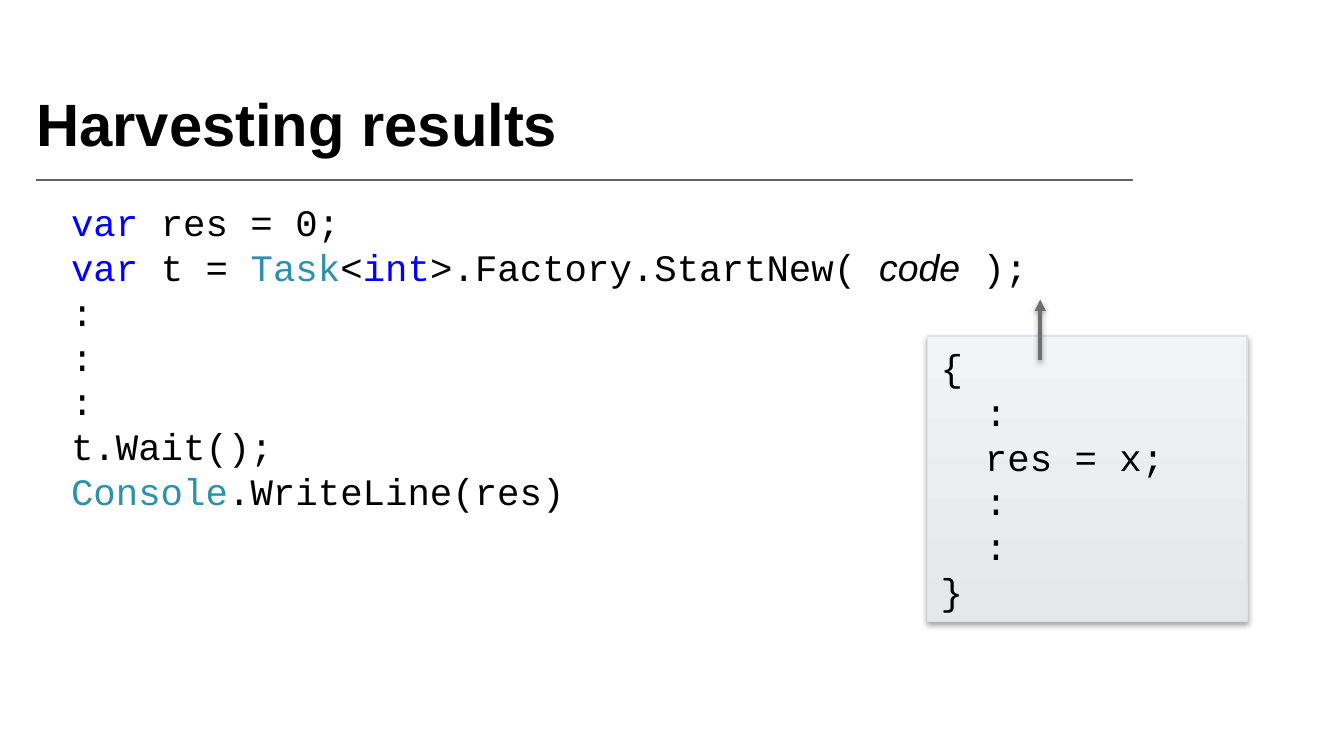
import pptx
import pptx.dml.color
import pptx.enum.shapes
import pptx.enum.text
import pptx.oxml
import pptx.oxml.ns
import pptx.util
from pptx.util import Inches

COLORS = {
    "black": "000000", "white": "FFFFFF", "keyword": "0000FF",
    "type": "2B91AF", "rule": "616263", "arrow": "6D6E71",
    "panel_bottom": "E6E7E8", "panel_top": "F2F3F5", "panel_edge": "E1E2E3",
}
TITLE = {"name": "Arial", "size": pptx.util.Pt(32), "bold": True}
CODE = {"name": "Courier New", "size": pptx.util.Pt(20)}
PLACEHOLDER = CODE | {"name": "Arial", "italic": True}
CODE_INDENT = Inches(0.33)
SLIDE_WIDTH = Inches(10)

# Each line is an indent level and its (text, colour, format) parts
PROGRAM = [
    (0, [("var ", "keyword", CODE), ("res = 0;", "black", CODE)]),
    (0, [("var", "keyword", CODE), (" t = ", "black", CODE),
         ("Task", "type", CODE), ("<", "black", CODE),
         ("int", "keyword", CODE), (">.Factory.StartNew( ", "black", CODE),
         ("code", "black", PLACEHOLDER), (" );", "black", CODE)]),
    *[(0, [(":", "black", CODE)])] * 3,
    (0, [("t.Wait();", "black", CODE)]),
    (0, [("Console", "type", CODE), (".WriteLine(res)", "black", CODE)]),
]
TASK_BODY = [
    (level, [(text, "black", CODE)])
    for level, text in [(0, "{"), (1, ":"), (1, "res = x;"),
                        (1, ":"), (1, ":"), (0, "}")]
]


def rgb(color):
    return pptx.dml.color.RGBColor.from_string(COLORS[color])


def apply(target, values):
    for attribute, value in values.items():
        setattr(target, attribute, value)


def add_run(paragraph, text, color, style):
    run = paragraph.add_run()
    run.text = text
    apply(run.font, style)
    run.font.color.rgb = rgb(color)


def add_title(slide, text, box):
    frame = slide.shapes.add_textbox(*map(Inches, box)).text_frame
    apply(frame, {
        "word_wrap": True,
        "vertical_anchor": pptx.enum.text.MSO_ANCHOR.MIDDLE,
        "margin_left": 0, "margin_right": 0,
        "margin_top": 0, "margin_bottom": Inches(0.09),
    })
    add_run(frame.paragraphs[0], text, "black", TITLE)


def add_code(slide, lines, box):
    panel = slide.shapes.add_shape(
        pptx.enum.shapes.MSO_SHAPE.RECTANGLE, *map(Inches, box))
    panel.shadow.inherit = False
    panel.fill.solid()
    panel.fill.fore_color.rgb = rgb("white")
    panel.line.fill.background()
    frame = panel.text_frame
    apply(frame, {
        "word_wrap": True,
        "auto_size": pptx.enum.text.MSO_AUTO_SIZE.SHAPE_TO_FIT_TEXT,
        "vertical_anchor": pptx.enum.text.MSO_ANCHOR.MIDDLE,
    })
    for number, (level, parts) in enumerate(lines):
        paragraph = frame.add_paragraph() if number else frame.paragraphs[0]
        paragraph.alignment = pptx.enum.text.PP_ALIGN.LEFT
        if level:
            properties = paragraph._p.get_or_add_pPr()
            properties.set("marL", str(level * CODE_INDENT))
        for part in parts:
            add_run(paragraph, *part)
    return panel


def shade_panel(panel):
    panel.fill.gradient()
    panel.fill.gradient_angle = 90
    for stop, color in zip(panel.fill.gradient_stops,
                           ["panel_bottom", "panel_top"]):
        stop.color.rgb = rgb(color)
    panel.line.color.rgb = rgb("panel_edge")
    panel.line.width = pptx.util.Pt(0.75)


def set_effects(shape, shadow=""):
    properties = shape._element.spPr
    for old in properties.findall(pptx.oxml.ns.qn("a:effectLst")):
        properties.remove(old)
    properties.append(pptx.oxml.parse_xml(
        f'<a:effectLst {pptx.oxml.ns.nsdecls("a")}>{shadow}</a:effectLst>'))


def drop_shadow(distance, opacity):
    return (
        f'<a:outerShdw blurRad="{pptx.util.Pt(3.1)}" '
        f'dist="{pptx.util.Pt(distance)}" dir="5400000" rotWithShape="0">'
        f'<a:srgbClr val="{COLORS["black"]}">'
        f'<a:alpha val="{opacity * 1000}"/></a:srgbClr></a:outerShdw>')


def add_line(slide, ends, color, width):
    line = slide.shapes.add_connector(
        pptx.enum.shapes.MSO_CONNECTOR.STRAIGHT, *map(Inches, ends))
    line.line.color.rgb = rgb(color)
    line.line.width = pptx.util.Pt(width)
    set_effects(line)
    return line


def add_arrowhead(line):
    line.line._get_or_add_ln().append(pptx.oxml.parse_xml(
        f'<a:tailEnd {pptx.oxml.ns.nsdecls("a")} type="triangle"/>'))


def main():
    # Widescreen deck, 16 by 9
    deck = pptx.Presentation()
    apply(deck, {"slide_width": SLIDE_WIDTH,
                 "slide_height": SLIDE_WIDTH * 9 // 16})
    slide = deck.slides.add_slide(deck.slide_layouts[6])

    # Heading and its rule
    add_title(slide, "Harvesting results", (0.27, 0.64, 9.1, 0.64))
    add_line(slide, (0.27, 1.34, 8.43, 1.34), "rule", 1)

    # Main program
    add_code(slide, PROGRAM, (0.43, 1.42, 8.85, 2.46))

    # Task body, pointing at the place where it is passed in
    task_body = add_code(slide, TASK_BODY, (6.9, 2.5, 2.38, 2.12))
    shade_panel(task_body)
    set_effects(task_body, drop_shadow(1.8, 35))
    pointer = add_line(slide, (7.74, 2.68, 7.74, 2.23), "arrow", 2)
    add_arrowhead(pointer)
    set_effects(pointer, drop_shadow(1.6, 38))

    deck.save("out.pptx")


if __name__ == "__main__":
    main()
